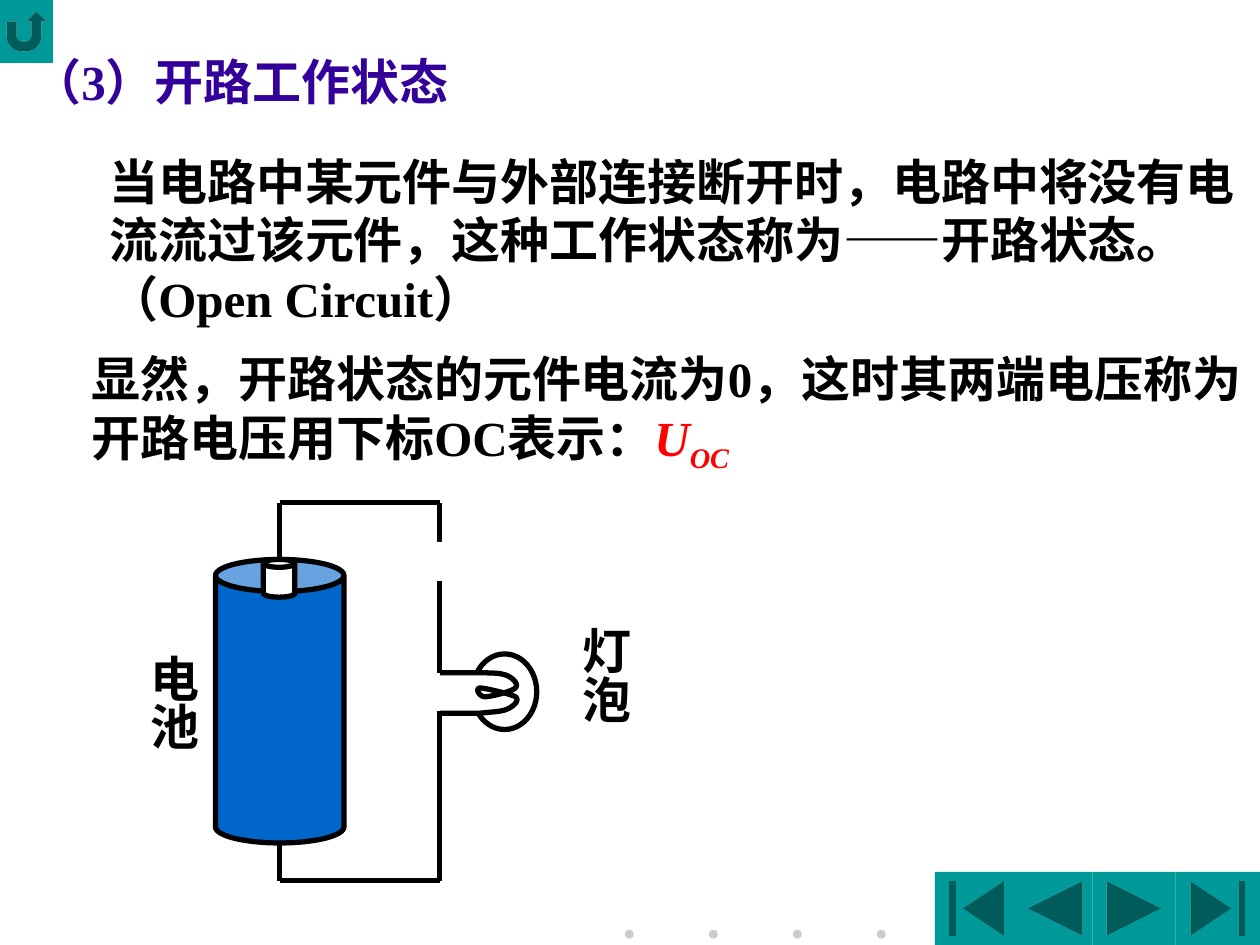
from dataclasses import dataclass
from typing import NamedTuple

from lxml import etree
from pptx import Presentation
from pptx.dml.color import RGBColor
from pptx.enum.shapes import MSO_CONNECTOR, MSO_SHAPE
from pptx.enum.text import MSO_AUTO_SIZE, PP_ALIGN
from pptx.oxml.ns import qn
from pptx.util import Inches, Pt

CAN, OVAL, RECT = MSO_SHAPE.CAN, MSO_SHAPE.OVAL, MSO_SHAPE.RECTANGLE
BACK = MSO_SHAPE.ACTION_BUTTON_BACK_OR_PREVIOUS
NEXT = MSO_SHAPE.ACTION_BUTTON_FORWARD_OR_NEXT
FIRST = MSO_SHAPE.ACTION_BUTTON_BEGINNING
LAST = MSO_SHAPE.ACTION_BUTTON_END
UP = MSO_SHAPE.ACTION_BUTTON_RETURN
STRAIGHT = MSO_CONNECTOR.STRAIGHT
FIT = MSO_AUTO_SIZE.SHAPE_TO_FIT_TEXT
LEFT = PP_ALIGN.LEFT


@dataclass(frozen=True)
class Theme:
    font: str = "Times New Roman"
    size: float = 28
    line: float = 3
    title: str = "330099"
    ink: str = "000000"
    mark: str = "FF0000"
    cell: str = "0066CC"
    paper: str = "FFFFFF"
    teal: str = "009999"
    dot: str = "CBCBCB"


class Part(NamedTuple):
    kind: int
    left: float
    top: float
    width: float
    height: float
    fill: str
    lined: bool = False


class Note(NamedTuple):
    text: str
    left: float
    top: float
    width: float
    height: float
    color: str
    wrap: bool = True


class Wire(NamedTuple):
    x1: float
    y1: float
    x2: float
    y2: float


THEME = Theme()
BUTTONS = [
    Part(UP, 0, 0, 0.42, 0.5, THEME.teal),
    Part(BACK, 8.08, 6.92, 0.59, 0.58, THEME.teal),
    Part(NEXT, 8.67, 6.92, 0.66, 0.58, THEME.teal),
    Part(FIRST, 7.42, 6.92, 0.66, 0.58, THEME.teal),
    Part(LAST, 9.33, 6.92, 0.67, 0.58, THEME.teal),
]
DOTS = [Part(OVAL, 4.96 + i * 2 / 3, 7.38, 0.07, 0.07, THEME.dot)
        for i in range(4)]
CIRCUIT = [
    Part(CAN, 1.71, 4.44, 1.02, 2.25, THEME.cell, True),
    Part(CAN, 2.09, 4.44, 0.25, 0.3, THEME.paper, True),
    Part(OVAL, 3.75, 5.19, 0.51, 0.6, THEME.paper, True),
]
GAP = Part(RECT, 3.27, 4.3, 0.39, 0.31, THEME.paper)

NEAR, FAR, HIGH, LOW = 2.22, 3.49, 3.99, 6.99
WIRES = [
    Wire(NEAR, 4.44, NEAR, HIGH),
    Wire(NEAR, HIGH, FAR, HIGH),
    Wire(FAR, HIGH, FAR, 5.34),
    Wire(FAR, 5.64, FAR, LOW),
    Wire(NEAR, 6.69, NEAR, LOW),
    Wire(NEAR, LOW, FAR, LOW),
]
# Start point, then two control points and an end point for each curve
COIL = [
    (3.49, 5.34),
    (3.61, 5.34), (3.72, 5.34), (3.81, 5.34),
    (3.9, 5.34), (3.97, 5.34), (4.02, 5.36),
    (4.07, 5.38), (4.12, 5.43), (4.09, 5.46),
    (4.06, 5.49), (3.89, 5.53), (3.85, 5.53),
    (3.8, 5.53), (3.77, 5.46), (3.81, 5.46),
    (3.85, 5.46), (4.06, 5.51), (4.09, 5.53),
    (4.13, 5.56), (4.07, 5.61), (4.02, 5.63),
    (3.97, 5.65), (3.9, 5.65), (3.81, 5.66),
    (3.72, 5.66), (3.55, 5.66), (3.49, 5.66),
]
TITLE = Note("（3）开路工作状态", 0.16, 0.36, 3.69, 0.57, THEME.title, False)
MEANING = Note("当电路中某元件与外部连接断开时，电路中将没有电流流过该元件，"
               "这种工作状态称为——开路状态。（Open Circuit）",
               0.77, 1.15, 9.23, 1.5, THEME.ink)
RESULT = Note("显然，开路状态的元件电流为0，这时其两端电压称为"
              "开路电压用下标OC表示：", 0.63, 2.72, 9.37, 1.1, THEME.ink)
LABELS = [
    Note("电池", 1, 5.09, 0.66, 0.88, THEME.ink, False),
    Note("灯泡", 4.43, 4.87, 0.66, 0.88, THEME.ink, False),
]


def style(shape, fill: str, lined: bool) -> None:
    shape.shadow.inherit = False
    shape.fill.solid()
    shape.fill.fore_color.rgb = RGBColor.from_string(fill)
    if lined:
        shape.line.color.rgb = RGBColor.from_string(THEME.ink)
        shape.line.width = Pt(THEME.line)
    else:
        shape.line.fill.background()


def draw_part(slide, part: Part) -> None:
    box = [Inches(v) for v in part[1:5]]
    style(slide.shapes.add_shape(part.kind, *box), part.fill, part.lined)


def draw_note(slide, note: Note):
    """Add a text box and return its paragraph."""
    box = slide.shapes.add_textbox(*[Inches(v) for v in note[1:5]])
    frame = box.text_frame
    frame.word_wrap = note.wrap
    frame.auto_size = FIT
    para = frame.paragraphs[0]
    para.alignment = LEFT
    para.add_run().text = note.text
    font = para.font
    font.name, font.size, font.bold = THEME.font, Pt(THEME.size), True
    font.color.rgb = RGBColor.from_string(note.color)
    return para


def draw_label(slide, note: Note) -> None:
    """Add a text box that reads downwards on a white ground."""
    draw_note(slide, note)
    box = slide.shapes[-1]
    box.fill.solid()
    box.fill.fore_color.rgb = RGBColor.from_string(THEME.paper)
    frame = box.text_frame
    frame.margin_left = frame.margin_right = Inches(0.05)
    frame.margin_top = frame.margin_bottom = Inches(0.1)
    frame._txBody.bodyPr.set("vert", "eaVert")


def add_symbol(para) -> None:
    """Append the red U with its OC subscript."""
    for text, base in (("U", None), ("OC", "-25000")):
        run = para.add_run()
        run.text = text
        run.font.italic = True
        run.font.color.rgb = RGBColor.from_string(THEME.mark)
        if base:
            run._r.get_or_add_rPr().set("baseline", base)


def draw_wire(slide, wire: Wire) -> None:
    link = slide.shapes.add_connector(STRAIGHT, *[Inches(v) for v in wire])
    link.line.color.rgb = RGBColor.from_string(THEME.ink)
    link.line.width = Pt(THEME.line)
    etree.SubElement(link._element.spPr, qn("a:effectLst"))


def trace(knots: list, steps: int = 10) -> list:
    """Return points along a chain of cubic curves."""
    points = []
    for i in range(0, len(knots) - 1, 3):
        for t in (n / steps for n in range(1, steps + 1)):
            s = 1 - t
            weights = (s ** 3, 3 * s * s * t, 3 * s * t * t, t ** 3)
            points.append(tuple(
                Inches(sum(w * k[axis] for w, k in zip(weights, knots[i:i + 4])))
                for axis in (0, 1)))
    return points


def draw_coil(slide) -> None:
    start = [Inches(v) for v in COIL[0]]
    path = slide.shapes.build_freeform(*start)
    path.add_line_segments(trace(COIL), close=False)
    style(path.convert_to_shape(), THEME.paper, True)


def main() -> None:
    deck = Presentation()
    deck.slide_width, deck.slide_height = Inches(10), Inches(7.5)
    slide = deck.slides.add_slide(deck.slide_layouts[6])
    for part in DOTS + BUTTONS:
        draw_part(slide, part)
    draw_note(slide, TITLE)
    draw_note(slide, MEANING)
    add_symbol(draw_note(slide, RESULT))
    for part in CIRCUIT:
        draw_part(slide, part)
    draw_coil(slide)
    for wire in WIRES:
        draw_wire(slide, wire)
    for label in LABELS:
        draw_label(slide, label)
    draw_part(slide, GAP)
    deck.save("out.pptx")


if __name__ == "__main__":
    main()
